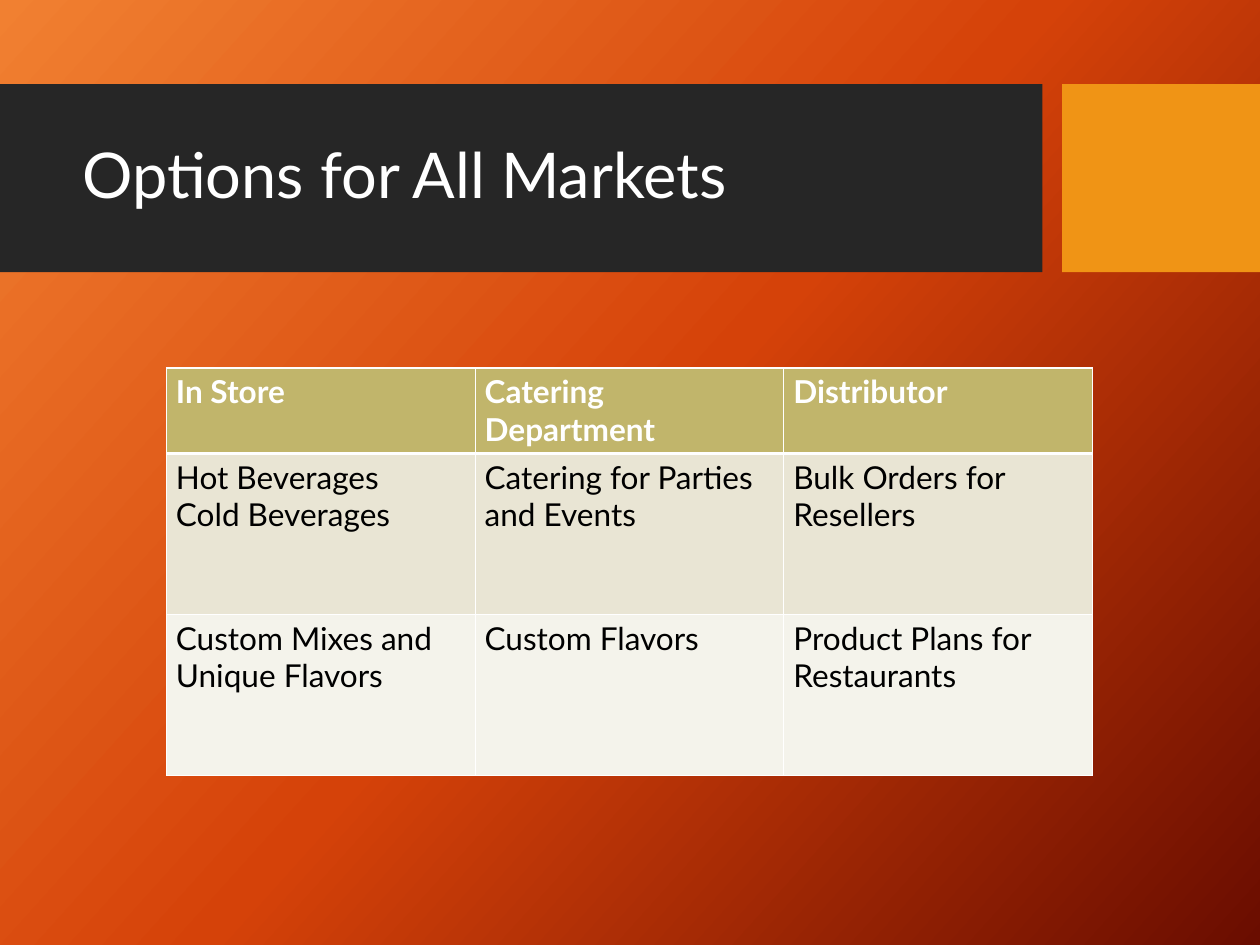
from copy import deepcopy
from dataclasses import dataclass

from lxml.etree import SubElement
from pptx import Presentation
from pptx.dml.color import RGBColor
from pptx.enum.shapes import MSO_SHAPE
from pptx.enum.text import MSO_ANCHOR
from pptx.oxml.ns import qn
from pptx.util import Cm, Pt

FONT = "Lato"
WHITE = "FFFFFF"
BLACK = "000000"
SLIDE_W, SLIDE_H = 33.83, 25.37
BAND_TOP, BAND_H = 2.26, 5.05
TABLE_LEFT, TABLE_TOP, COLUMN_W = 4.47, 9.88, 8.29
GRADIENT = [(0, "F18031"), (0.5, "D54209"), (1, "6A0D00")]


@dataclass
class Block:
    left: float
    width: float
    color: str


@dataclass
class Row:
    height: float
    fill: str
    texts: list[str]
    color: str = BLACK
    bold: bool = False
    top_line: float = 1
    bottom_line: float = 1


BLOCKS = [
    Block(0, 27.99, "262626"),
    Block(28.52, SLIDE_W - 28.52, "F09415"),
]
ROWS = [
    Row(2.29, "C1B56B", ["In Store", "Catering Department", "Distributor"],
        WHITE, bold=True, bottom_line=3),
    Row(4.32, "E9E5D4", ["Hot Beverages\nCold Beverages",
                         "Catering for Parties and Events",
                         "Bulk Orders for Resellers"], top_line=3),
    Row(4.32, "F4F3EB", ["Custom Mixes and Unique Flavors",
                         "Custom Flavors",
                         "Product Plans for Restaurants"]),
]


def rgb(color: str) -> RGBColor:
    return RGBColor.from_string(color)


def style_paragraph(p, size: float, color: str, bold: bool = False) -> None:
    p.font.name = FONT
    p.font.size = Pt(size)
    p.font.bold = bold
    p.font.color.rgb = rgb(color)


def paint_background(s) -> None:
    fill = s.background.fill
    fill.gradient()
    fill.gradient_angle = 360 - 42  # python-pptx counts counter-clockwise
    stops = s.element.find(".//" + qn("a:gsLst"))
    stops.insert(1, deepcopy(stops[0]))
    for stop, (position, color) in zip(fill.gradient_stops, GRADIENT):
        stop.position = position
        stop.color.rgb = rgb(color)


def add_block(s, block: Block) -> None:
    sp = s.shapes.add_shape(MSO_SHAPE.RECTANGLE, Cm(block.left), Cm(BAND_TOP),
                            Cm(block.width), Cm(BAND_H))
    sp.shadow.inherit = False
    sp.fill.solid()
    sp.fill.fore_color.rgb = rgb(block.color)
    sp.line.fill.background()


def add_title(s, text: str) -> None:
    tf = s.shapes.add_textbox(Cm(1.96), Cm(2.79), Cm(25.53), Cm(3.99)).text_frame
    tf.word_wrap = True
    tf.vertical_anchor = MSO_ANCHOR.MIDDLE
    p = tf.paragraphs[0]
    p.text = text
    p.line_spacing = 0.9
    style_paragraph(p, 48, WHITE)


def set_borders(cell, row: Row) -> None:
    """Draw white cell borders; call before filling, as the schema puts lines first."""
    properties = cell._tc.get_or_add_tcPr()
    widths = {"L": 1, "R": 1, "T": row.top_line, "B": row.bottom_line}
    for side, width in widths.items():
        line = SubElement(properties, qn(f"a:ln{side}"), w=str(Pt(width)))
        SubElement(SubElement(line, qn("a:solidFill")), qn("a:srgbClr"), val=WHITE)


def add_market_table(s, rows: list[Row]) -> None:
    columns = len(rows[0].texts)
    table = s.shapes.add_table(
        len(rows), columns, Cm(TABLE_LEFT), Cm(TABLE_TOP),
        Cm(COLUMN_W * columns), Cm(sum(row.height for row in rows))).table
    for column in table.columns:
        column.width = Cm(COLUMN_W)
    for i, row in enumerate(rows):
        table.rows[i].height = Cm(row.height)
        for cell, text in zip(table.rows[i].cells, row.texts):
            set_borders(cell, row)
            cell.fill.solid()
            cell.fill.fore_color.rgb = rgb(row.fill)
            cell.text = text
            for p in cell.text_frame.paragraphs:
                style_paragraph(p, 24, row.color, row.bold)


def main() -> None:
    prs = Presentation()
    prs.slide_width, prs.slide_height = Cm(SLIDE_W), Cm(SLIDE_H)
    s = prs.slides.add_slide(prs.slide_layouts[6])
    paint_background(s)
    for block in BLOCKS:
        add_block(s, block)
    add_title(s, "Options for All Markets")
    add_market_table(s, ROWS)
    prs.save("out.pptx")


if __name__ == "__main__":
    main()
